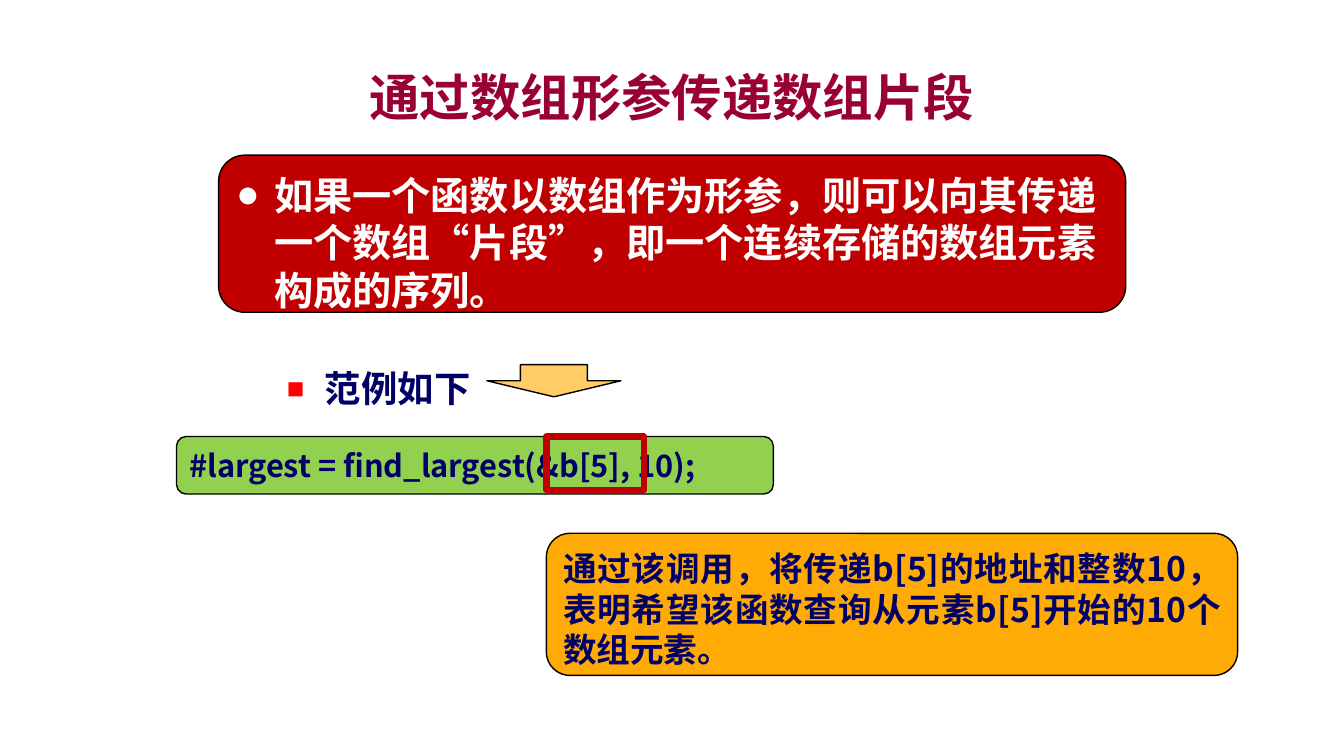
from lxml.etree import SubElement
from pptx import Presentation
from pptx.dml.color import RGBColor
from pptx.enum.shapes import MSO_SHAPE
from pptx.enum.text import MSO_ANCHOR, PP_ALIGN
from pptx.oxml.ns import qn
from pptx.util import Cm, Pt

COLORS = {
    "title": "990033", "navy": "000066", "white": "FFFFFF", "black": "000000",
    "red": "C00000", "bullet": "FF0000", "arrow": "FFCC66",
    "green": "92D050", "orange": "FFAB06",
}
BODY_FONT = "Noto Sans CJK SC"


def color(name):
    """Return the named colour of the palette."""
    return RGBColor.from_string(COLORS[name])


def lengths(box):
    """Turn a box in centimetres into slide lengths."""
    return [Cm(value) for value in box]


def add_bullet(paragraph, mark, tint=None, percent=100):
    """Give a paragraph a hanging bullet."""
    properties = paragraph._p.get_or_add_pPr()
    properties.set("marL", str(Cm(0.96)))
    properties.set("indent", str(-Cm(0.96)))
    if tint:
        bullet_color = SubElement(properties, qn("a:buClr"))
        SubElement(bullet_color, qn("a:srgbClr"), val=COLORS[tint])
    SubElement(properties, qn("a:buSzPct"), val=str(percent * 1000))
    SubElement(properties, qn("a:buFont"), typeface="Arial")
    SubElement(properties, qn("a:buChar"), char=mark)


def format_text(paragraph, size, tint, typeface=BODY_FONT):
    """Format every run of a paragraph in bold."""
    for run in paragraph.runs:
        run.font.size = Pt(size)
        run.font.bold = True
        run.font.color.rgb = color(tint)
        run.font.name = typeface
        if typeface == BODY_FONT:
            SubElement(run._r.get_or_add_rPr(), qn("a:ea"), typeface=typeface)


def add_panel(slide, kind, box, fill=None, line="black", weight=1):
    """Add a flat preset shape."""
    panel = slide.shapes.add_shape(kind, *lengths(box))
    panel.shadow.inherit = False
    if fill:
        panel.fill.solid()
        panel.fill.fore_color.rgb = color(fill)
    else:
        panel.fill.background()
    panel.line.color.rgb = color(line)
    panel.line.width = Pt(weight)
    return panel


def write_panel(panel, text, size, tint, align=PP_ALIGN.LEFT, mark=None, pitch=None):
    """Write one paragraph in a panel, from the top if it has a line pitch."""
    frame = panel.text_frame
    frame.word_wrap = True
    frame.vertical_anchor = MSO_ANCHOR.TOP if pitch else MSO_ANCHOR.MIDDLE
    if pitch:
        frame.margin_top = Cm(0.19)
    frame.text = text
    paragraph = frame.paragraphs[0]
    paragraph.alignment = align
    if pitch:
        paragraph.line_spacing = Pt(pitch)
    if mark:
        add_bullet(paragraph, mark)
    format_text(paragraph, size, tint)


def add_title(slide, box):
    """Place the slide title."""
    title = slide.shapes.title
    title.left, title.top, title.width, title.height = lengths(box)
    title.text_frame.text = "通过数组形参传递数组片段"
    title.text_frame.vertical_anchor = MSO_ANCHOR.MIDDLE
    paragraph = title.text_frame.paragraphs[0]
    paragraph.alignment = PP_ALIGN.CENTER
    format_text(paragraph, 36, "title", "Arial")


def add_rule(slide, box):
    """Place the statement on passing array segments."""
    rule = add_panel(slide, MSO_SHAPE.ROUNDED_RECTANGLE, box, "red")
    write_panel(
        rule,
        "如果一个函数以数组作为形参，则可以向其传递一个数组“片段”，即一个连续存储的数组元素构成的序列。",
        28, "white", mark="●", pitch=34,
    )


def add_example_heading(slide, box):
    """Place the example heading and its arrow."""
    left, top, width, height = box
    heading = slide.shapes.add_textbox(*lengths(box))
    heading.text_frame.word_wrap = True
    heading.text_frame.text = "范例如下"
    paragraph = heading.text_frame.paragraphs[0]
    paragraph.line_spacing = Pt(49)
    add_bullet(paragraph, "■", "bullet", 80)
    format_text(paragraph, 26, "navy")
    arrow_box = (left + 5.29, top + 0.71, 3.38, 0.81)
    add_panel(slide, MSO_SHAPE.DOWN_ARROW, arrow_box, "arrow")


def add_call(slide, box):
    """Place the function call and the frame around its argument."""
    left, top, width, height = box
    call = add_panel(slide, MSO_SHAPE.ROUNDED_RECTANGLE, box, "green")
    write_panel(call, "#largest = find_largest(&b[5], 10);", 22, "navy")
    argument_box = (left + 9.32, top, 2.46, 1.35)
    add_panel(slide, MSO_SHAPE.RECTANGLE, argument_box, line="red", weight=4.5)


def add_explanation(slide, box):
    """Place the explanation of the call."""
    explanation = add_panel(slide, MSO_SHAPE.ROUNDED_RECTANGLE, box, "orange")
    write_panel(
        explanation,
        "通过该调用，将传递b[5]的地址和整数10，表明希望该函数查询从元素b[5]开始的10个数组元素。",
        24, "navy", PP_ALIGN.JUSTIFY, pitch=29,
    )


def main():
    """Build and save the slide."""
    presentation = Presentation()
    presentation.slide_width = Cm(33.87)
    presentation.slide_height = Cm(19.05)
    slide = presentation.slides.add_slide(presentation.slide_layouts[5])
    slide.background.fill.solid()
    slide.background.fill.fore_color.rgb = color("white")
    add_title(slide, (2.54, 1.47, 28.78, 1.9))
    add_example_heading(slide, (6.98, 8.48, 9.32, 1.8))
    add_rule(slide, (5.51, 3.91, 22.86, 3.96))
    add_call(slide, (4.45, 11, 15.04, 1.45))
    add_explanation(slide, (13.77, 13.44, 17.42, 3.58))
    presentation.save("out.pptx")


if __name__ == "__main__":
    main()
